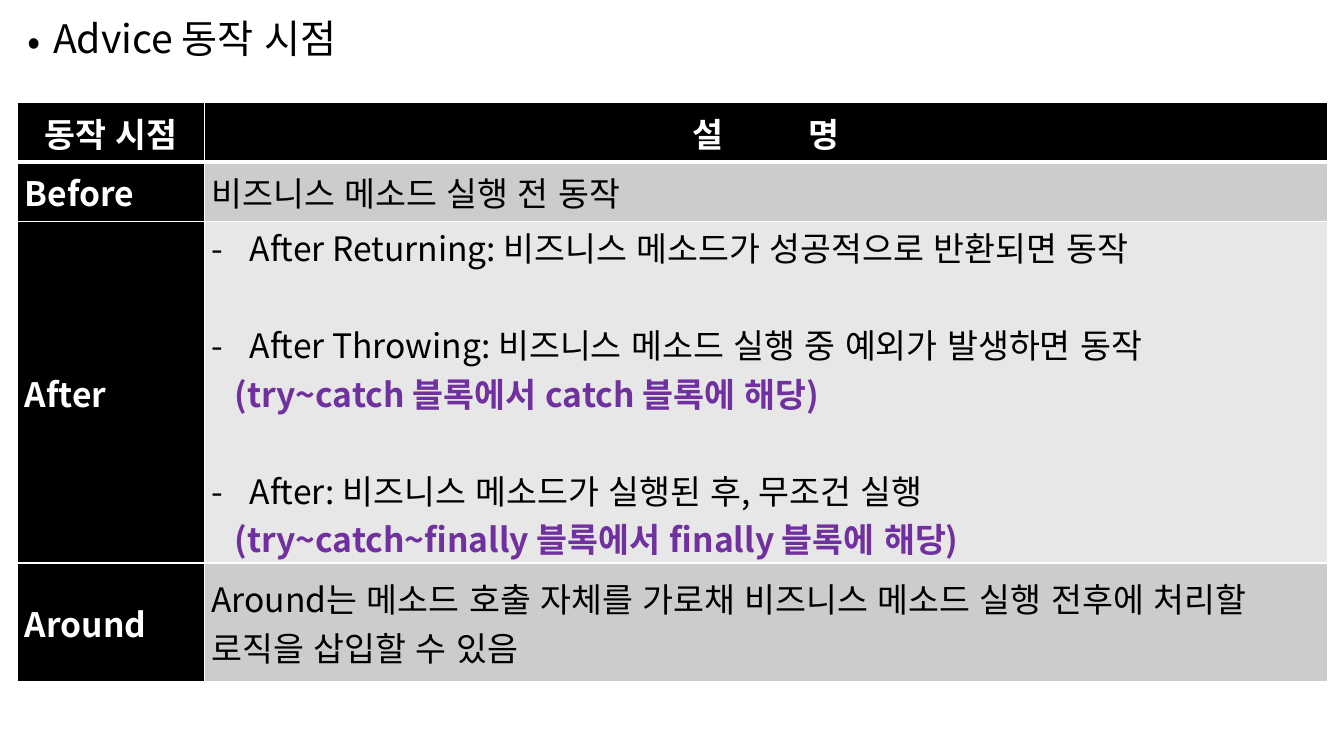
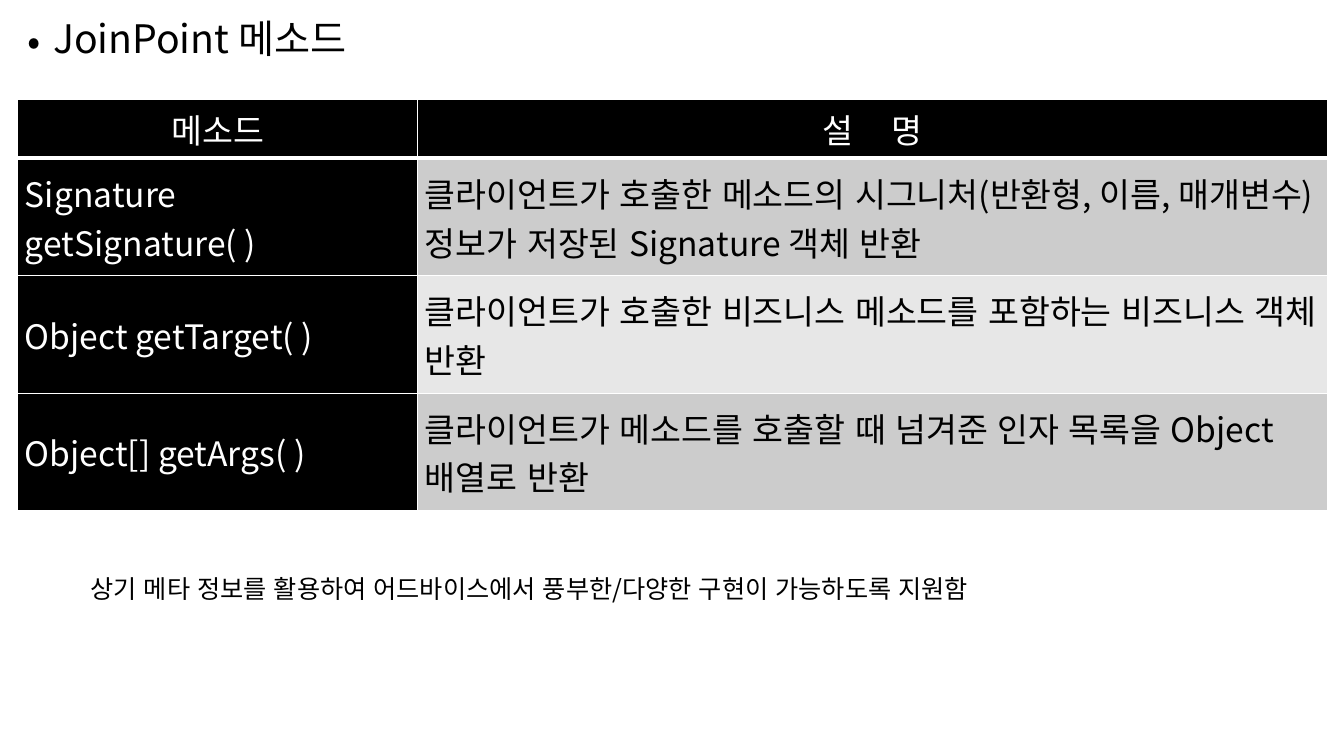
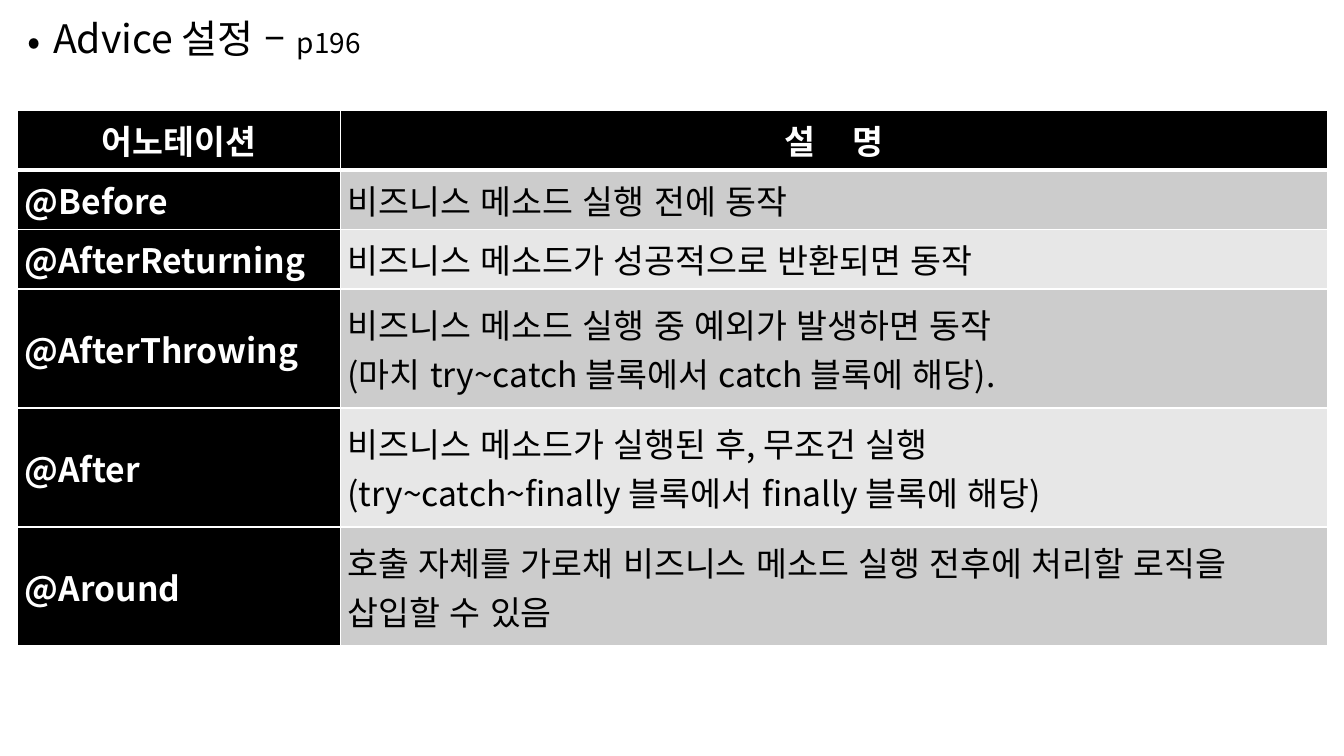
from dataclasses import dataclass

from lxml import etree
from pptx import Presentation
from pptx.dml.color import RGBColor
from pptx.enum.lang import MSO_LANGUAGE_ID
from pptx.enum.text import MSO_ANCHOR, MSO_AUTO_SIZE, PP_ALIGN
from pptx.oxml.ns import qn
from pptx.util import Cm, Pt

MIDDLE = MSO_ANCHOR.MIDDLE
CENTER = PP_ALIGN.CENTER
FIT_SHAPE = MSO_AUTO_SIZE.SHAPE_TO_FIT_TEXT
KOREAN = MSO_LANGUAGE_ID.KOREAN

FONT = "Noto Sans CJK KR"
COLORS = {
    "text": "000000",
    "head": "000000",
    "light": "FFFFFF",
    "band_dark": "CCCCCC",
    "band_light": "E7E7E7",
    "remark": "7030A0",
}
LEFT = 0.45
WIDTH = 33
TABLE_SIZE = 24
BLANK_LAYOUT = 6


@dataclass
class Line:
    text: str
    dash: bool = False
    remark: bool = False
    before: float = 0


def add_span(para, text, size, color="text", bold=False):
    span = para.add_run()
    span.text = text
    font = span.font
    font.name = FONT
    font.size = Pt(size)
    font.bold = bold
    font.color.rgb = RGBColor.from_string(COLORS[color])
    font.language_id = KOREAN
    east_asian = etree.SubElement(font._element, qn("a:ea"))
    east_asian.set("typeface", FONT)
    return span


def indent(para, left, bullet=None):
    properties = para._p.get_or_add_pPr()
    properties.set("marL", str(Cm(left)))
    if bullet:
        properties.set("indent", str(-Cm(left)))
        etree.SubElement(properties, qn("a:buFont")).set("typeface", FONT)
        etree.SubElement(properties, qn("a:buChar")).set("char", bullet)


def add_title(page, *parts):
    box = page.shapes.add_textbox(Cm(LEFT), Cm(0.36), Cm(WIDTH), Cm(18.34))
    box.text_frame.word_wrap = True
    para = box.text_frame.paragraphs[0]
    para.line_spacing = 0.9
    para.space_before = Pt(10)
    indent(para, 0.64, "•")
    for text, size in parts:
        add_span(para, text, size)


def add_note(page, text):
    box = page.shapes.add_textbox(Cm(2.03), Cm(14.33), Cm(25.02), Cm(1.02))
    box.text_frame.word_wrap = False
    box.text_frame.auto_size = FIT_SHAPE
    add_span(box.text_frame.paragraphs[0], text, 18)


def add_border(cell, side, width):
    properties = cell._tc.get_or_add_tcPr()
    border = etree.SubElement(properties, qn(f"a:ln{side}"), w=str(Pt(width)))
    fill = etree.SubElement(border, qn("a:solidFill"))
    etree.SubElement(fill, qn("a:srgbClr"), val=COLORS["light"])


def style_cell(cell, fill, row):
    widths = {"L": 1, "R": 1, "T": 3 if row == 1 else 1, "B": 3 if row == 0 else 1}
    for side, width in widths.items():
        add_border(cell, side, width)
    cell.fill.solid()
    cell.fill.fore_color.rgb = RGBColor.from_string(COLORS[fill])
    cell.vertical_anchor = MIDDLE
    cell.margin_left = cell.margin_right = Cm(0.18)
    cell.margin_top = cell.margin_bottom = 0


def write_label(cell, text, bold):
    add_span(cell.text_frame.paragraphs[0], text, TABLE_SIZE, "light", bold)


def write_spread(cell, text, gap, bold):
    para = cell.text_frame.paragraphs[0]
    first, last = text.split()
    add_span(para, first, TABLE_SIZE, "light", bold)
    space = add_span(para, " ", TABLE_SIZE, "light", bold)
    space.font._element.set("spc", str(gap * 100))
    add_span(para, last, TABLE_SIZE, "light", bold)


def write_lines(cell, lines):
    frame = cell.text_frame
    for index, line in enumerate(lines):
        para = frame.add_paragraph() if index else frame.paragraphs[0]
        if line.before:
            para.space_before = Pt(line.before)
        if line.dash:
            indent(para, 0.97, "-")
        elif line.remark:
            indent(para, 0.58)
        color = "remark" if line.remark else "text"
        add_span(para, line.text, TABLE_SIZE, color, line.remark)


def add_guide(page, top, label_width, unit, label, gap, rows, bold=True):
    height = unit * (1 + sum(units for _, units, _ in rows))
    frame = page.shapes.add_table(
        len(rows) + 1, 2, Cm(LEFT), Cm(top), Cm(WIDTH), Cm(height)
    )
    table = frame.table
    table.horz_banding = False
    table.columns[0].width = Cm(label_width)
    table.columns[1].width = Cm(WIDTH - label_width)
    table.rows[0].height = Cm(unit)
    write_label(table.cell(0, 0), label, bold)
    write_spread(table.cell(0, 1), "설 명", gap, bold)
    for column in range(2):
        style_cell(table.cell(0, column), "head", 0)
        table.cell(0, column).text_frame.paragraphs[0].alignment = CENTER
    for index, (name, units, lines) in enumerate(rows, 1):
        table.rows[index].height = Cm(unit * units)
        style_cell(table.cell(index, 0), "head", index)
        style_cell(
            table.cell(index, 1), "band_dark" if index % 2 else "band_light", index
        )
        write_label(table.cell(index, 0), name, bold)
        write_lines(table.cell(index, 1), lines)


def add_page(deck):
    return deck.slides.add_slide(deck.slide_layouts[BLANK_LAYOUT])


def build_timing(page):
    add_title(page, ("Advice 동작 시점", 28))
    after = [
        Line("After Returning: 비즈니스 메소드가 성공적으로 반환되면 동작", dash=True),
        Line("After Throwing: 비즈니스 메소드 실행 중 예외가 발생하면 동작", dash=True, before=34.5),
        Line("(try~catch 블록에서 catch 블록에 해당)", remark=True),
        Line("After: 비즈니스 메소드가 실행된 후, 무조건 실행", dash=True, before=34.5),
        Line("(try~catch~finally 블록에서 finally 블록에 해당)", remark=True),
    ]
    around = "Around는 메소드 호출 자체를 가로채 비즈니스 메소드 실행 전후에 처리할 로직을 삽입할 수 있음"
    rows = [
        ("Before", 1, [Line("비즈니스 메소드 실행 전 동작")]),
        ("After", 5.73, after),
        ("Around", 2, [Line(around)]),
    ]
    add_guide(page, 2.59, 4.7, 1.5, "동작 시점", 54, rows)


def build_methods(page):
    add_title(page, ("JoinPoint 메소드", 28))
    signature = "클라이언트가 호출한 메소드의 시그니처(반환형, 이름, 매개변수) 정보가 저장된 Signature 객체 반환"
    target = "클라이언트가 호출한 비즈니스 메소드를 포함하는 비즈니스 객체 반환"
    arguments = "클라이언트가 메소드를 호출할 때 넘겨준 인자 목록을 Object 배열로 반환"
    rows = [
        ("Signature getSignature( )", 2, [Line(signature)]),
        ("Object getTarget( )", 2, [Line(target)]),
        ("Object[] getArgs( )", 2, [Line(arguments)]),
    ]
    add_guide(page, 2.51, 10.08, 1.48, "메소드", 20, rows, bold=False)
    add_note(page, "상기 메타 정보를 활용하여 어드바이스에서 풍부한/다양한 구현이 가능하도록 지원함")


def build_annotations(page):
    add_title(page, ("Advice 설정 – ", 28), ("p196", 20))
    throwing = [
        Line("비즈니스 메소드 실행 중 예외가 발생하면 동작"),
        Line("(마치 try~catch 블록에서 catch 블록에 해당)."),
    ]
    after = [
        Line("비즈니스 메소드가 실행된 후, 무조건 실행"),
        Line("(try~catch~finally 블록에서 finally 블록에 해당)"),
    ]
    around = "호출 자체를 가로채 비즈니스 메소드 실행 전후에 처리할 로직을 삽입할 수 있음"
    rows = [
        ("@Before", 1, [Line("비즈니스 메소드 실행 전에 동작")]),
        ("@AfterReturning", 1, [Line("비즈니스 메소드가 성공적으로 반환되면 동작")]),
        ("@AfterThrowing", 2, throwing),
        ("@After", 2, after),
        ("@Around", 2, [Line(around)]),
    ]
    add_guide(page, 2.78, 8.13, 1.5, "어노테이션", 20, rows)


def main():
    deck = Presentation()
    deck.slide_width = Cm(33.87)
    deck.slide_height = Cm(19.05)
    for build in (build_timing, build_methods, build_annotations):
        build(add_page(deck))
    deck.save("out.pptx")


main()
